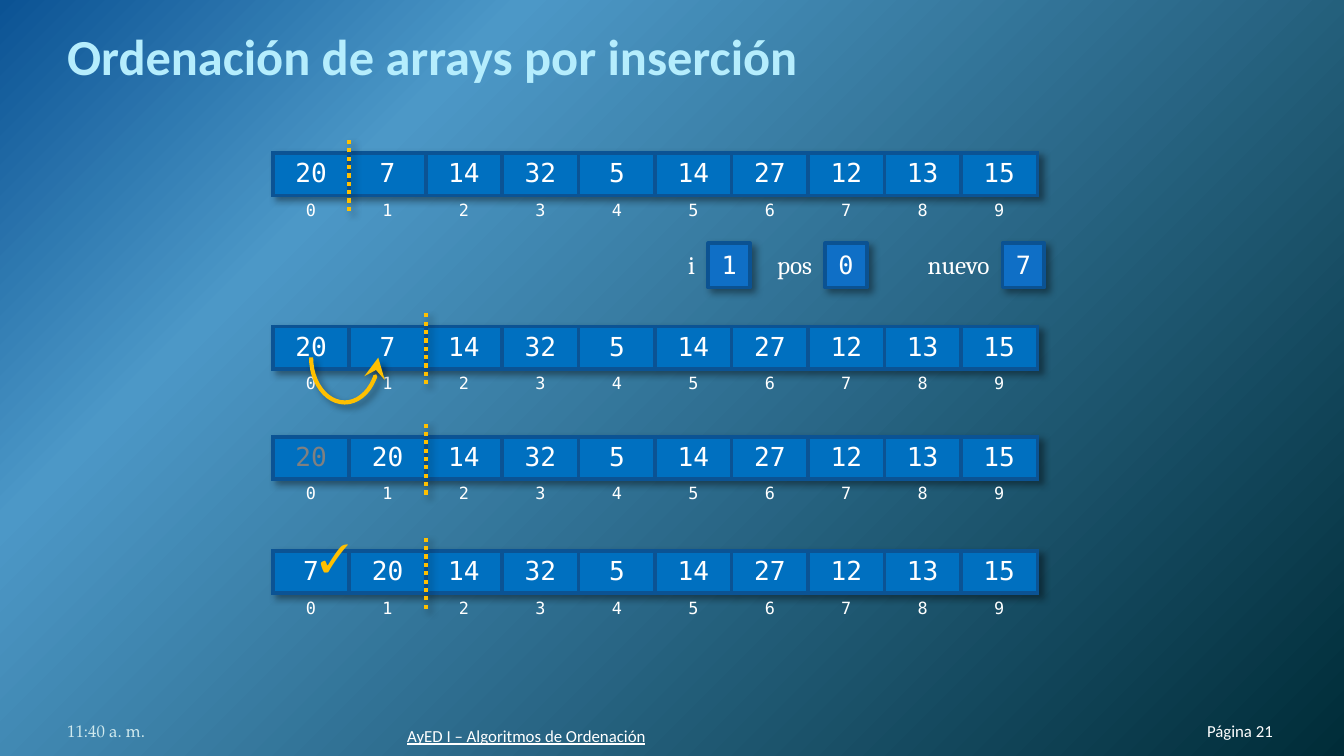
from pptx import Presentation
from pptx.dml.color import RGBColor
from pptx.enum.dml import MSO_LINE
from pptx.enum.shapes import MSO_CONNECTOR, MSO_SHAPE
from pptx.enum.text import MSO_ANCHOR, MSO_AUTO_SIZE, PP_ALIGN as AL
from pptx.oxml import parse_xml
from pptx.oxml.ns import nsdecls, qn
from pptx.util import Inches, Pt

TITLE = "Ordenación de arrays por inserción"
TIME = "11:40 a. m."
COURSE = "AyED I – Algoritmos de Ordenación"
PAGE = "Página 21"
TAIL = [14, 32, 5, 14, 27, 12, 13, 15]
STEPS = [  # top, first two values, sorted count, first value is stale
    (1.14, [20, 7], 1, False),
    (2.43, [20, 7], 2, False),
    (3.25, [20, 20], 2, True),
    (4.10, [7, 20], 2, False),
]
VARIABLES = [("i", "1", 5.27, 0.25), ("pos", "0", 6.14, 0.49), ("nuevo", "7", 7.46, 0.69)]


class Theme:
    white, muted, accent = "FFFFFF", "808080", "FFC000"
    title, title_line, time = "B5EDFD", "0070C0", "D1EAEE"
    cell, grid, box, box_line = "0070C0", "0B5394", "0F6FC6", "0B5292"
    background = [(0, "0B5394"), (25, "4C98C7"), (100, "002C38")]
    sans, serif, mono, footer = "Calibri", "Cambria", "DejaVu Sans Mono", "TeX Gyre Pagella"
    title_size, value_size, label_size, small_size, check_size = 27, 14, 13.5, 9, 21


LEFT, WIDTH, ROWS = 2.03, 5.69, (0.3, 0.24)
COL = WIDTH / 10
NO_STYLE = "{2D5ABB26-0587-4C30-8999-92F81FD0307C}"


def rgb(color):
    return RGBColor.from_string(color)


def write(tf, text, font=Theme.sans, size=Theme.small_size, color=Theme.white,
          align=AL.LEFT, bold=None, underline=None, after=None):
    p = tf.paragraphs[0]
    p.alignment = align
    if after:
        p.space_after = Pt(after)
    r = p.add_run()
    r.text = text
    r.font.name, r.font.size = font, Pt(size)
    r.font.bold, r.font.underline = bold, underline
    r.font.color.rgb = rgb(color)
    return r


def add_text(shapes, box, text, insets=None, anchor=MSO_ANCHOR.TOP, fit=False, **fmt):
    tf = shapes.add_textbox(*map(Inches, box)).text_frame
    tf.word_wrap = not fit
    tf.vertical_anchor = anchor
    if fit:
        tf.auto_size = MSO_AUTO_SIZE.SHAPE_TO_FIT_TEXT
    if insets:
        tf.margin_left, tf.margin_top, tf.margin_right, tf.margin_bottom = map(Inches, insets)
    return write(tf, text, **fmt)


def shadow():
    return parse_xml(
        f'<a:effectLst {nsdecls("a")}><a:outerShdw blurRad="{Pt(4)}" dist="{Pt(3)}" '
        'dir="2700000" algn="tl" rotWithShape="0"><a:srgbClr val="000000">'
        '<a:alpha val="40000"/></a:srgbClr></a:outerShdw></a:effectLst>')


def outline(sp, color, width):
    sp.line.color.rgb = rgb(color)
    sp.line.width = Pt(width)


def cast_shadow(sp):
    sp._element.spPr.append(shadow())


def border(side, visible):
    fill = f'<a:solidFill><a:srgbClr val="{Theme.grid}"/></a:solidFill>' if visible else "<a:noFill/>"
    return parse_xml(f'<a:{side} {nsdecls("a")} w="{Pt(2.25)}">{fill}</a:{side}>')


def format_cell(cell, text, is_value, **fmt):
    cell.margin_left = cell.margin_right = Inches(0.07)
    cell.margin_top = cell.margin_bottom = Inches(0.04)
    write(cell.text_frame, text, font=Theme.mono, align=AL.CENTER, **fmt)
    tcPr = cell._tc.get_or_add_tcPr()
    for side in ("lnL", "lnR", "lnT", "lnB"):
        tcPr.append(border(side, is_value or side == "lnT"))
    if is_value:
        cell.fill.solid()
        cell.fill.fore_color.rgb = rgb(Theme.cell)
    else:
        cell.fill.background()


def add_array(shapes, top, values, stale):
    frame = shapes.add_table(2, len(values), Inches(LEFT), Inches(top), Inches(WIDTH), Inches(sum(ROWS)))
    table = frame.table
    table.first_row = table.horz_banding = False
    tblPr = table._tbl.tblPr
    tblPr.find(qn("a:tableStyleId")).text = NO_STYLE
    tblPr.insert(0, shadow())
    for row, height in zip(table.rows, ROWS):
        row.height = Inches(height)
    for i, value in enumerate(values):
        table.columns[i].width = Inches(COL)
        color = Theme.muted if stale and i == 0 else Theme.white
        format_cell(table.cell(0, i), str(value), True, size=Theme.value_size, color=color)
        format_cell(table.cell(1, i), str(i), False)


def add_divider(shapes, top, count):
    x = Inches(LEFT + count * COL)
    line = shapes.add_connector(MSO_CONNECTOR.STRAIGHT, x, Inches(top + 0.43), x, Inches(top - 0.1))
    outline(line, Theme.accent, 2.25)
    line.line.dash_style = MSO_LINE.ROUND_DOT
    cast_shadow(line)


def add_move_arrow(shapes):
    arc = shapes.add_shape(MSO_SHAPE.ARC, *map(Inches, (2.23, 2.41, 0.67, 0.5)))
    arc.adjustments[0], arc.adjustments[1] = 162, 53.78
    arc.rotation = 270
    arc._element.spPr.find(qn("a:xfrm")).set("flipH", "1")
    arc.fill.background()
    outline(arc, Theme.accent, 2.25)
    arc.line._ln.append(parse_xml(f'<a:tailEnd {nsdecls("a")} type="stealth" w="lg" len="lg"/>'))
    cast_shadow(arc)


def add_variable(shapes, name, value, x, label_width):
    top, width, height = 1.81, 0.31, 0.33
    group = shapes.add_group_shape().shapes
    sp = group.add_shape(MSO_SHAPE.RECTANGLE, *map(Inches, (x, top, width, height)))
    sp.fill.solid()
    sp.fill.fore_color.rgb = rgb(Theme.box)
    outline(sp, Theme.box_line, 2)
    cast_shadow(sp)
    tf = sp.text_frame
    tf.word_wrap = False
    tf.auto_size = MSO_AUTO_SIZE.SHAPE_TO_FIT_TEXT
    tf.vertical_anchor = MSO_ANCHOR.TOP
    write(tf, value, font=Theme.mono, size=Theme.label_size, after=4.5)
    add_text(group, (x - label_width, top, label_width, height), name, fit=True,
             font=Theme.serif, size=Theme.label_size, align=AL.RIGHT, after=4.5)


def set_background(s):
    s.background.fill.gradient()
    old = s.element.find(".//" + qn("a:gradFill"))
    stops = "".join(f'<a:gs pos="{pos * 1000}"><a:srgbClr val="{color}"/></a:gs>'
                    for pos, color in Theme.background)
    old.getparent().replace(old, parse_xml(
        f'<a:gradFill {nsdecls("a")} rotWithShape="1"><a:gsLst>{stops}</a:gsLst>'
        '<a:path path="circle"><a:fillToRect r="100000" b="100000"/></a:path></a:gradFill>'))


def main():
    prs = Presentation()
    prs.slide_width = Inches(10)
    prs.slide_height = Inches(10 * 9 / 16)
    s = prs.slides.add_slide(prs.slide_layouts[6])
    shapes = s.shapes
    set_background(s)

    r = add_text(shapes, (0.5, 0.23, 9, 0.41), TITLE, insets=(0, 0.05, 0, 0), anchor=MSO_ANCHOR.BOTTOM,
                 size=Theme.title_size, color=Theme.title, bold=True)
    r._r.get_or_add_rPr().insert(0, parse_xml(
        f'<a:ln {nsdecls("a")} w="{Pt(0.75)}"><a:solidFill>'
        f'<a:srgbClr val="{Theme.title_line}"/></a:solidFill></a:ln>'))

    for top, head, count, stale in STEPS:
        add_array(shapes, top, head + TAIL, stale)
        add_divider(shapes, top, count)
    add_move_arrow(shapes)
    for variable in VARIABLES:
        add_variable(shapes, *variable)
    add_text(shapes, (2.28, 3.92, 0.43, 0.45), "✓", fit=True, font=Theme.serif,
             size=Theme.check_size, color=Theme.accent, bold=True, after=4.5)

    footer = dict(insets=(0, 0, 0, 0), anchor=MSO_ANCHOR.BOTTOM)
    add_text(shapes, (0.5, 5.21, 2.33, 0.3), TIME, font=Theme.footer, color=Theme.time, **footer)
    add_text(shapes, (3.03, 5.25, 3.78, 0.3), COURSE, underline=True, **footer)
    add_text(shapes, (8.49, 5.21, 0.98, 0.3), PAGE, align=AL.RIGHT, **footer)
    prs.save("out.pptx")


if __name__ == "__main__":
    main()
